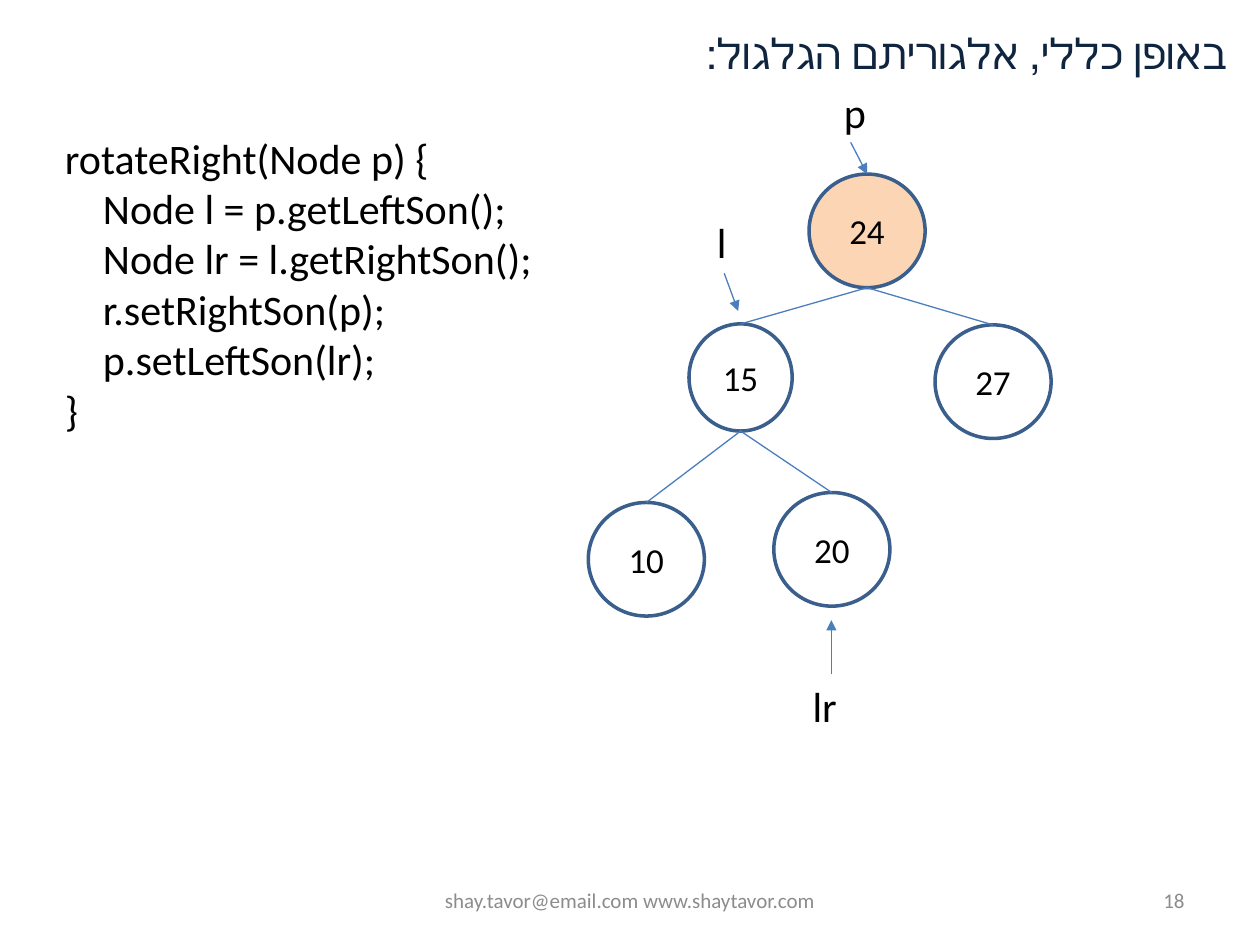
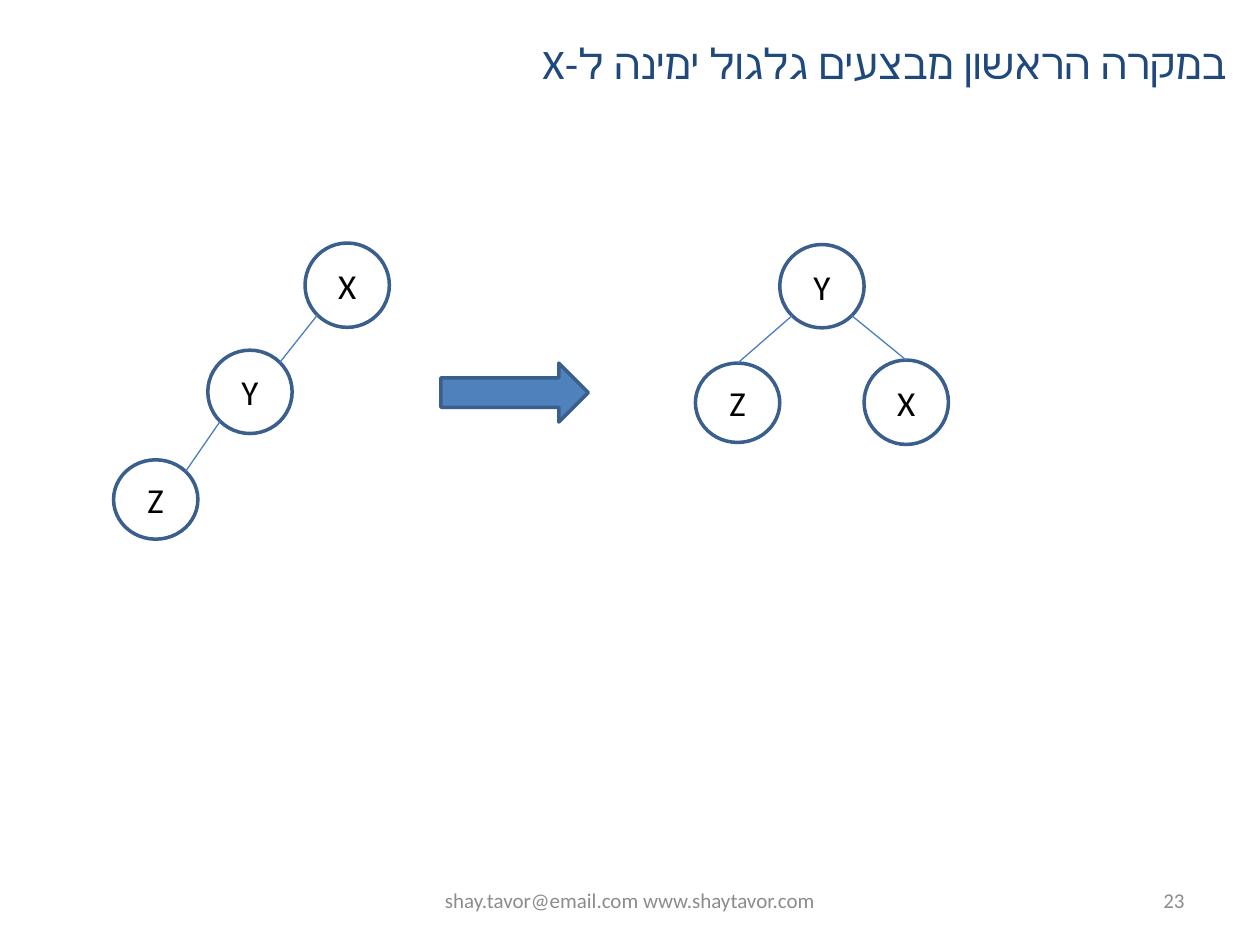
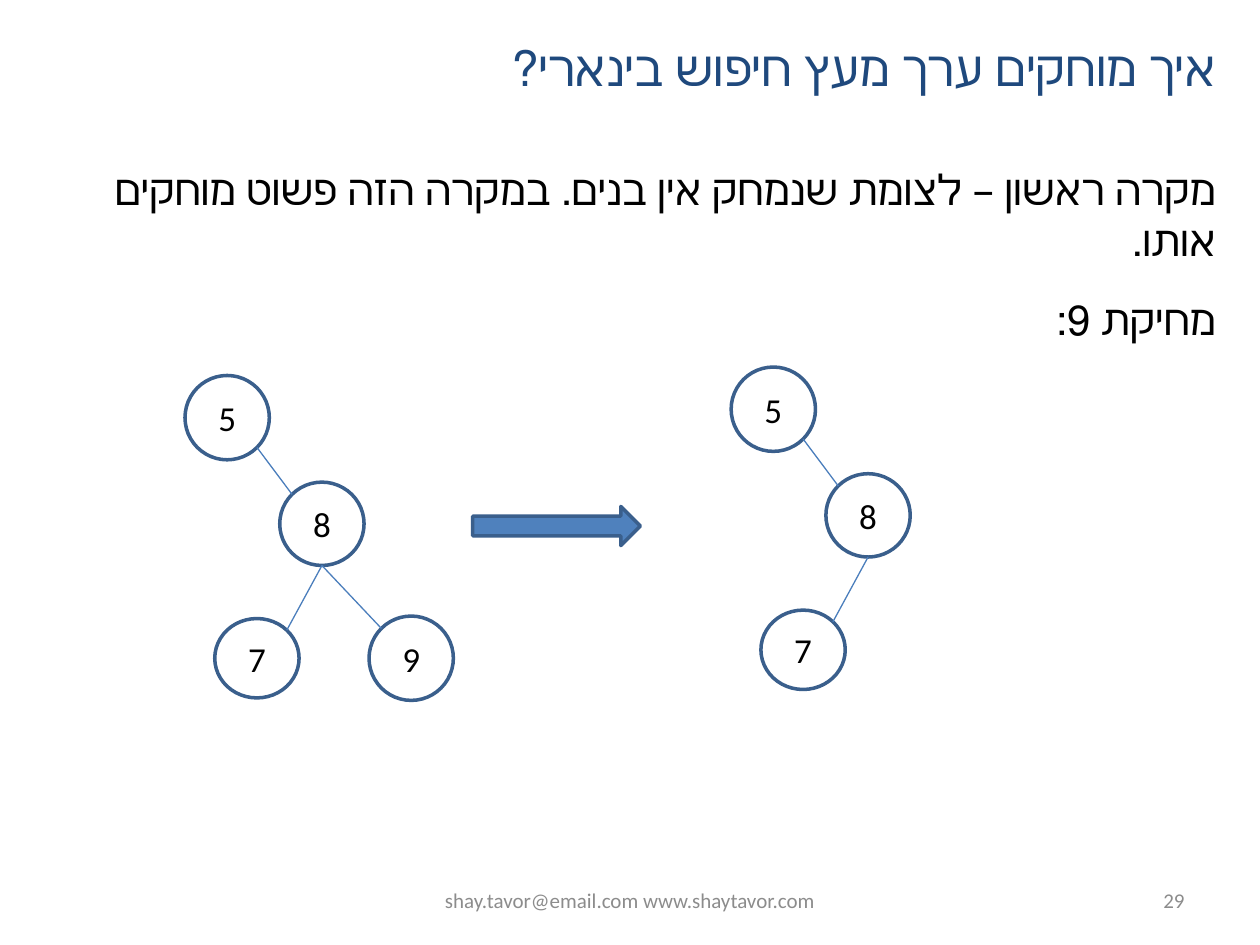
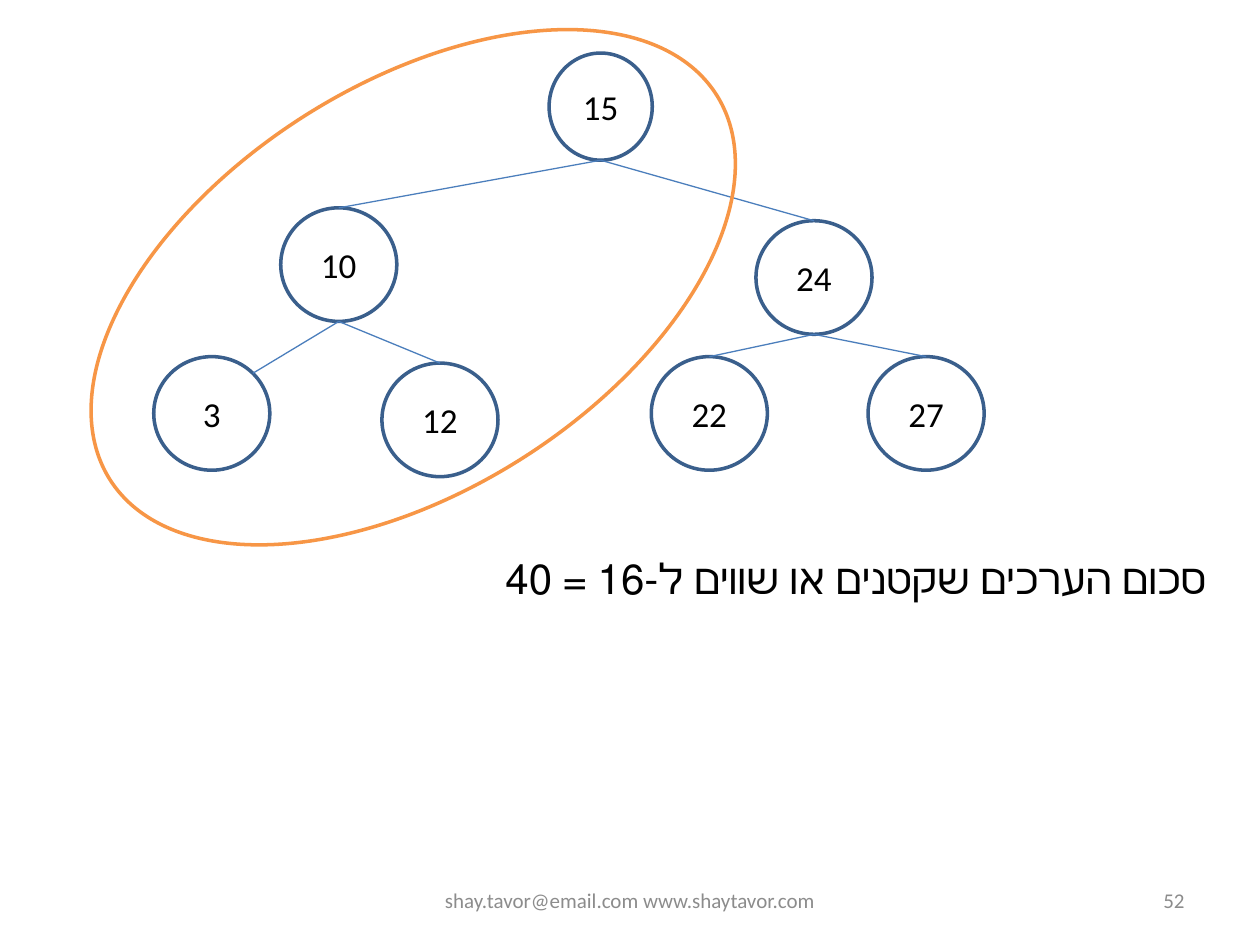
import math

import pptx
import pptx.dml.color
import pptx.enum.shapes
import pptx.enum.text
import pptx.oxml.ns
import pptx.util
from lxml import etree

Cm = pptx.util.Cm
Align = pptx.enum.text.PP_ALIGN
Anchor = pptx.enum.text.MSO_ANCHOR
Preset = pptx.enum.shapes.MSO_SHAPE

FONT = "Calibri"
BLACK, WHITE, GRAY = "000000", "FFFFFF", "8C8C8C"
NAVY, DARK_BLUE = "1F497D", "0F243E"
OUTLINE, LINK, ARROW_FILL = "3A5F8C", "4B7EBC", "4F81BD"
HIGHLIGHT, ORANGE = "FCD5B5", "F79646"

LARGE = (2.34, 2.29)
MEDIUM = (2.08, 2.16)
SMALL = (1.7, 1.7)
SMALL_MIDDLE = (1.7, 1.68)
SMALL_LEAF = (1.7, 1.6)

SITE_ANGLES = {
    "top": 270, "top left": 225, "top right": 315,
    "bottom": 90, "bottom left": 135, "bottom right": 45,
}

ROTATE_RIGHT = """rotateRight(Node p) {
    Node l = p.getLeftSon();
    Node lr = l.getRightSon();
    r.setRightSon(p);
    p.setLeftSon(lr);
}"""


def color(hex_value):
    return pptx.dml.color.RGBColor.from_string(hex_value)


def write(frame, text, size=24, fill=BLACK, align=Align.LEFT, rtl=False, anchor=Anchor.TOP):
    frame.word_wrap = True
    frame.vertical_anchor = anchor
    for index, line in enumerate(text.split("\n")):
        paragraph = frame.paragraphs[0] if index == 0 else frame.add_paragraph()
        paragraph.alignment = align
        if rtl:
            paragraph._p.get_or_add_pPr().set("rtl", "1")
        run = paragraph.add_run()
        run.text = line
        run.font.name = FONT
        run.font.size = pptx.util.Pt(size)
        run.font.color.rgb = color(fill)


def add_text(slide, text, left, top, width, height, **style):
    box = slide.shapes.add_textbox(Cm(left), Cm(top), Cm(width), Cm(height))
    write(box.text_frame, text, **style)


def add_hebrew(slide, text, left, top, width, height, **style):
    add_text(slide, text, left, top, width, height, align=Align.RIGHT, rtl=True, **style)


def add_outlined(slide, preset, left, top, width, height, fill=None, line=OUTLINE):
    shape = slide.shapes.add_shape(preset, Cm(left), Cm(top), Cm(width), Cm(height))
    shape.shadow.inherit = False
    if fill:
        shape.fill.solid()
        shape.fill.fore_color.rgb = color(fill)
    else:
        shape.fill.background()
    shape.line.color.rgb = color(line)
    shape.line.width = pptx.util.Pt(2)
    return shape


def add_node(slide, label, left, top, size=LARGE, fill=WHITE):
    node = add_outlined(slide, Preset.OVAL, left, top, *size, fill=fill)
    write(node.text_frame, label, size=20, align=Align.CENTER, anchor=Anchor.MIDDLE)
    return node


def add_line(slide, start, end, arrow=False):
    connector = slide.shapes.add_connector(
        pptx.enum.shapes.MSO_CONNECTOR.STRAIGHT, *start, *end)
    connector.line.color.rgb = color(LINK)
    connector.line.width = pptx.util.Pt(0.75)
    if arrow:
        tail = etree.SubElement(connector.line._get_or_add_ln(), pptx.oxml.ns.qn("a:tailEnd"))
        tail.set("type", "triangle")
    etree.SubElement(connector._element.spPr, pptx.oxml.ns.qn("a:effectLst"))


def add_pointer(slide, x1, y1, x2, y2):
    add_line(slide, (Cm(x1), Cm(y1)), (Cm(x2), Cm(y2)), arrow=True)


def site(node, name):
    angle = math.radians(SITE_ANGLES[name])
    x = node.left + node.width / 2 * (1 + math.cos(angle))
    y = node.top + node.height / 2 * (1 + math.sin(angle))
    return round(x), round(y)


def link(slide, parent, child, leave="bottom", enter="top"):
    add_line(slide, site(parent, leave), site(child, enter))


def add_slide(presentation, number):
    slide = presentation.slides.add_slide(presentation.slide_layouts[6])
    footer = dict(size=12, fill=GRAY, anchor=Anchor.MIDDLE)
    add_text(slide, "shay.tavor@email.com www.shaytavor.com", 8.68, 17.65, 8.04, 1.01,
             align=Align.CENTER, **footer)
    add_text(slide, str(number), 18.2, 17.65, 5.93, 1.01, align=Align.RIGHT, **footer)
    return slide


def build_rotation_algorithm(presentation):
    slide = add_slide(presentation, 18)
    add_hebrew(slide, "באופן כללי, אלגוריתם הגלגול:", 2.12, 0.42, 22.86, 1.28, fill=DARK_BLUE)
    add_text(slide, ROTATE_RIGHT, 1.06, 2.54, 14.4, 6.4)
    for name, left, top in (("p", 16.76, 1.62), ("l", 14.2, 4.24), ("lr", 16.13, 13.59)):
        add_text(slide, name, left, top, 1.27, 1.28)

    root = add_node(slide, "24", 16.31, 3.51, fill=HIGHLIGHT)
    left_son = add_node(slide, "15", 13.89, 6.53, MEDIUM)
    right_son = add_node(slide, "27", 18.85, 6.55)
    link(slide, root, left_son)
    link(slide, root, right_son)
    link(slide, left_son, add_node(slide, "10", 11.86, 10.13))
    link(slide, left_son, add_node(slide, "20", 15.6, 9.93))

    add_pointer(slide, 17.15, 2.87, 17.48, 3.51)
    add_pointer(slide, 14.6, 5.51, 14.88, 6.27)
    add_pointer(slide, 16.76, 13.59, 16.76, 12.5)


def build_first_case(presentation):
    slide = add_slide(presentation, 23)
    add_hebrew(slide, "במקרה הראשון מבצעים גלגול ימינה ל-X", 8.89, 0.64, 16.08, 1.28, fill=NAVY)

    x = add_node(slide, "X", 6.15, 4.9, SMALL)
    y = add_node(slide, "Y", 4.19, 7.06, SMALL_MIDDLE)
    z = add_node(slide, "Z", 2.29, 9.27, SMALL_LEAF)
    link(slide, x, y, "bottom left", "top right")
    link(slide, y, z, "bottom left", "top right")

    add_outlined(slide, Preset.RIGHT_ARROW, 8.89, 7.32, 2.97, 1.19, fill=ARROW_FILL)

    y = add_node(slide, "Y", 15.72, 4.93, SMALL_MIDDLE)
    link(slide, y, add_node(slide, "Z", 14.02, 7.32, SMALL_LEAF), "bottom left")
    link(slide, y, add_node(slide, "X", 17.42, 7.26, SMALL), "bottom right")


def add_deletion_tree(slide, left, top):
    five = add_node(slide, "5", left, top, SMALL)
    eight = add_node(slide, "8", left + 1.91, top + 2.15, SMALL_MIDDLE)
    seven = add_node(slide, "7", left + 0.6, top + 4.9, SMALL_LEAF)
    link(slide, five, eight, "bottom right", "top left")
    link(slide, eight, seven, enter="top right")
    return eight


def build_deletion(presentation):
    slide = add_slide(presentation, 29)
    add_hebrew(slide, "איך מוחקים ערך מעץ חיפוש בינארי?", 7.62, 0.64, 17.14, 1.45,
               size=28, fill=NAVY)
    add_hebrew(slide, "מקרה ראשון – לצומת שנמחק אין בנים. במקרה הזה פשוט מוחקים אותו.",
               1.06, 3.18, 23.7, 2.31)
    add_hebrew(slide, "מחיקת 9:", 15.67, 5.79, 9.09, 1.28)

    eight = add_deletion_tree(slide, 3.73, 7.57)
    link(slide, eight, add_node(slide, "9", 7.44, 12.42, SMALL), enter="top left")
    add_outlined(slide, Preset.RIGHT_ARROW, 9.53, 10.21, 3.38, 0.79, fill=ARROW_FILL)
    add_deletion_tree(slide, 14.74, 7.4)


def build_sum(presentation):
    slide = add_slide(presentation, 52)
    root = add_node(slide, "15", 11.07, 1.07, MEDIUM)
    ten = add_node(slide, "10", 5.66, 4.19)
    twenty_four = add_node(slide, "24", 15.24, 4.45)
    link(slide, root, ten)
    link(slide, root, twenty_four)
    link(slide, ten, add_node(slide, "3", 3.1, 7.19), enter="top right")
    link(slide, ten, add_node(slide, "12", 7.7, 7.32))
    link(slide, twenty_four, add_node(slide, "22", 13.13, 7.19))
    link(slide, twenty_four, add_node(slide, "27", 17.5, 7.19))

    add_hebrew(slide, "סכום הערכים שקטנים או שווים ל-16 = 40", 0.64, 11.02, 23.92, 1.28)
    subset = add_outlined(slide, Preset.OVAL, 1.09, 1.7, 14.48, 8.18, line=ORANGE)
    subset.rotation = 147.6


def main():
    presentation = pptx.Presentation()
    presentation.slide_width = Cm(25.4)
    presentation.slide_height = Cm(19.05)
    build_rotation_algorithm(presentation)
    build_first_case(presentation)
    build_deletion(presentation)
    build_sum(presentation)
    presentation.save("out.pptx")


if __name__ == "__main__":
    main()
